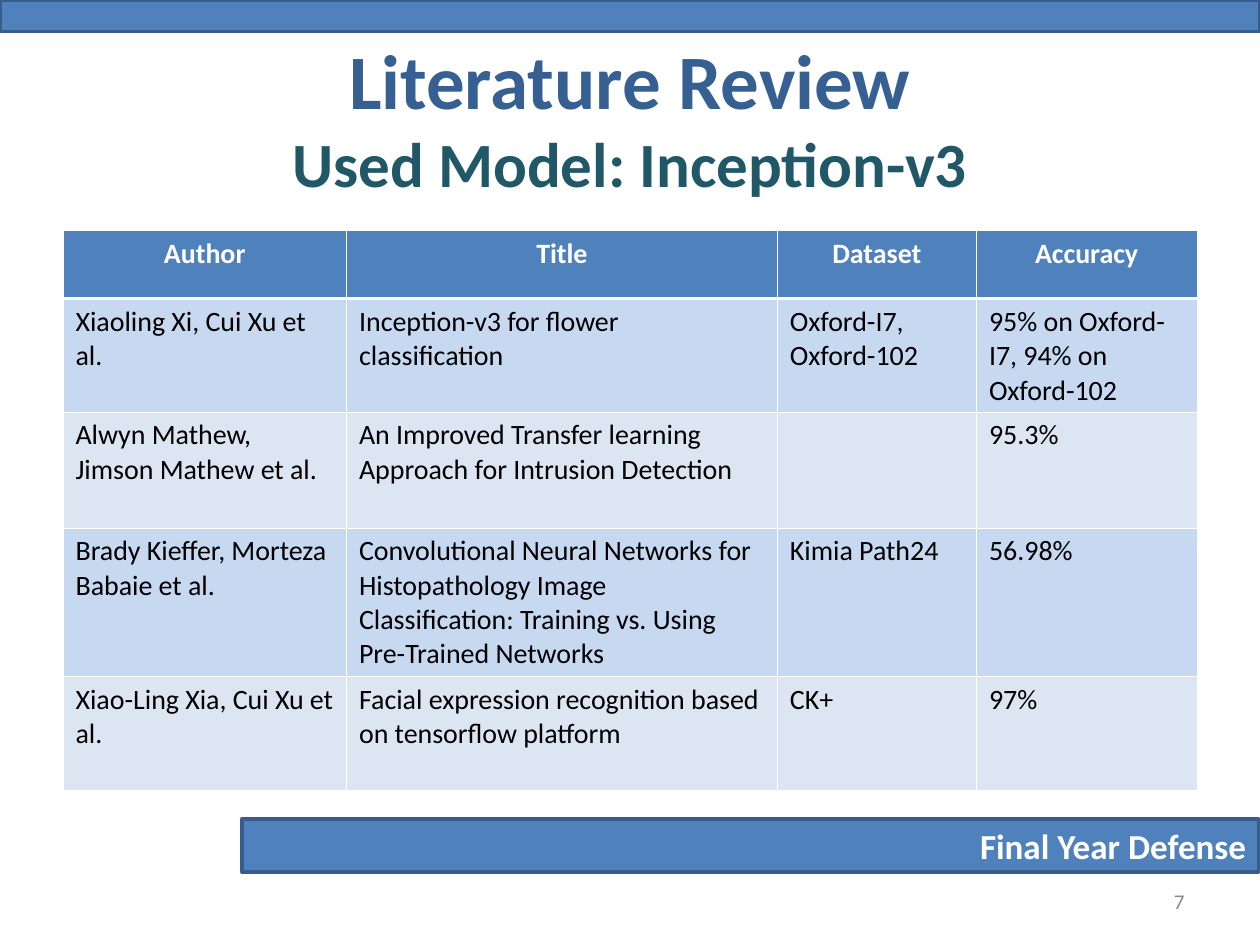
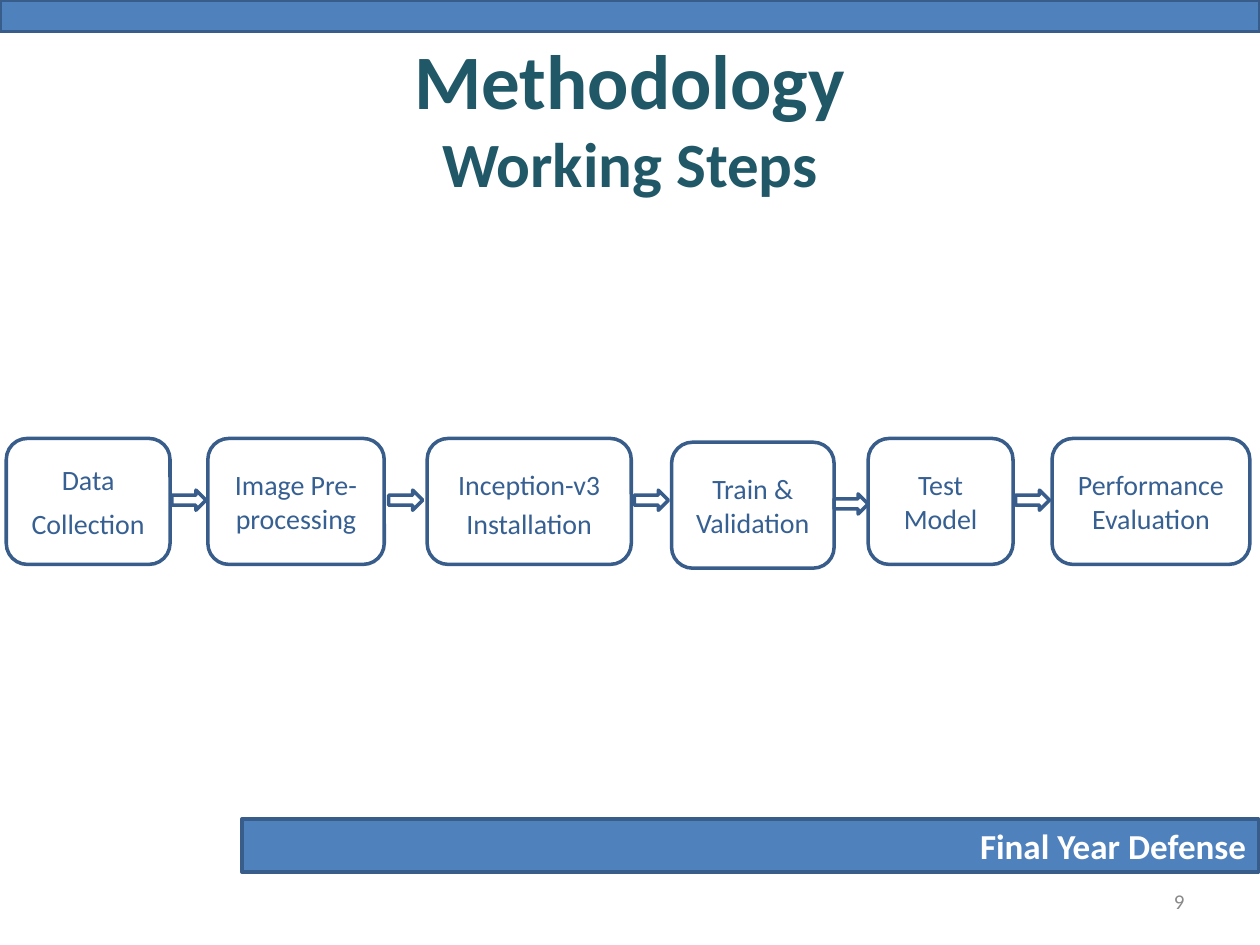
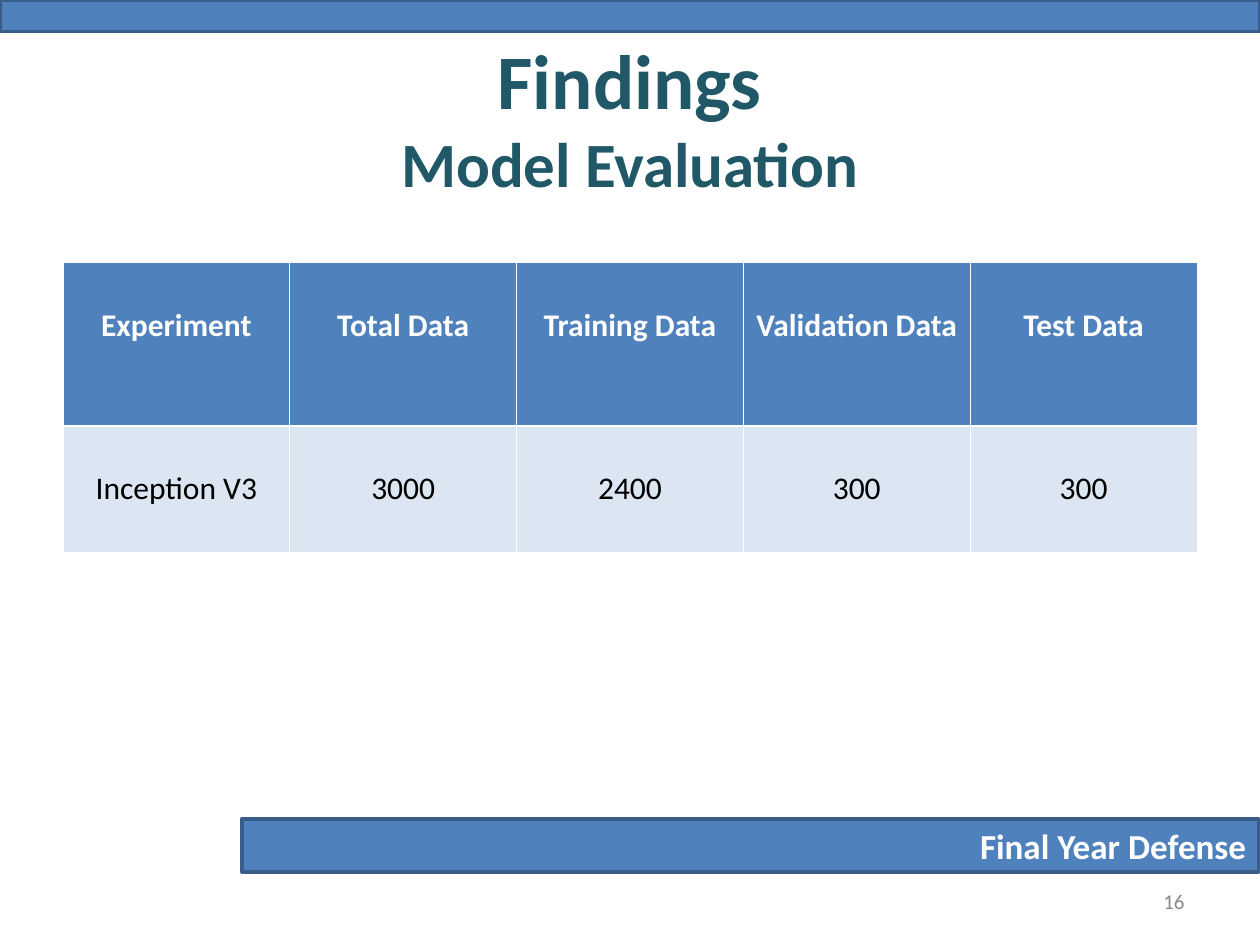
import pptx
import pptx.util
import pptx.dml.color
import pptx.enum.shapes
import pptx.enum.text
import pptx.oxml
import pptx.oxml.ns

Inches = pptx.util.Inches
Pt = pptx.util.Pt
RGB = pptx.dml.color.RGBColor
Shape = pptx.enum.shapes.MSO_SHAPE
Align = pptx.enum.text.PP_ALIGN
Anchor = pptx.enum.text.MSO_ANCHOR

BLUE = RGB(0x4F, 0x81, 0xBD)
EDGE = RGB(0x38, 0x5D, 0x8A)
NAVY = RGB(0x37, 0x60, 0x92)
TEAL = RGB(0x20, 0x58, 0x67)
SKY = RGB(0xC6, 0xD9, 0xF1)
PALE = RGB(0xDC, 0xE6, 0xF2)
GREY = RGB(0x89, 0x89, 0x89)
WHITE = RGB(0xFF, 0xFF, 0xFF)
BLACK = RGB(0, 0, 0)
FONT = "Calibri"
THIN, THICK = 0.45, 1.47


def put(frame, text, size=16, color=BLACK, bold=False, align=Align.CENTER, gap=0, lead=None):
    frame.word_wrap = True
    for i, line in enumerate(text.split("\n")):
        para = frame.add_paragraph() if i else frame.paragraphs[0]
        para.text = line
        para.alignment = align
        if i and gap:
            para.space_before = Pt(gap)
        if lead:
            para.line_spacing = lead
        for run in para.runs:
            font = run.font
            font.name, font.size, font.bold = FONT, Pt(size), bold
            font.color.rgb = color


def edge(cell, side, width):
    line = pptx.oxml.parse_xml(
        f'<a:ln{side} {pptx.oxml.ns.nsdecls("a")} w="{int(Pt(width))}">'
        f'<a:solidFill><a:srgbClr val="{WHITE}"/></a:solidFill></a:ln{side}>')
    cell._tc.get_or_add_tcPr().append(line)


class Deck:
    def __init__(self):
        self.file = pptx.Presentation()
        self.file.slide_width = Inches(10)
        self.file.slide_height = Inches(7.5)
        self.slide = None

    def page(self, head, sub, number, color=TEAL):
        self.slide = self.file.slides.add_slide(self.file.slide_layouts[6])
        foot = self.shape(Shape.RECTANGLE, 1.92, 6.5, 8.07, 0.42, BLUE)
        put(foot.text_frame, "Final Year Defense", size=20, color=WHITE, bold=True, align=Align.RIGHT)
        self.shape(Shape.RECTANGLE, 0, 0, 10, 0.25, BLUE)
        title = self.label(f"{head}\v{sub}", 0.5, 0.3, 9, 1.25, size=36, color=TEAL, bold=True)
        top = title.text_frame.paragraphs[0].runs[0].font
        top.size = Pt(44)
        top.color.rgb = color
        self.label(str(number), 7.17, 6.95, 2.33, 0.4, size=12, color=GREY, align=Align.RIGHT)

    def label(self, text, x, y, w, h, **style):
        box = self.slide.shapes.add_textbox(Inches(x), Inches(y), Inches(w), Inches(h))
        box.text_frame.vertical_anchor = Anchor.MIDDLE
        put(box.text_frame, text, **style)
        return box

    def shape(self, kind, x, y, w, h, fill=WHITE):
        item = self.slide.shapes.add_shape(kind, Inches(x), Inches(y), Inches(w), Inches(h))
        item.shadow.inherit = False
        item.fill.solid()
        item.fill.fore_color.rgb = fill
        item.line.color.rgb = EDGE
        item.line.width = Pt(2)
        item.text_frame.vertical_anchor = Anchor.MIDDLE
        return item

    def table(self, y, cols, rows, data, bands, size=16, align=Align.LEFT, inset=0.05):
        grid = self.slide.shapes.add_table(
            len(rows), len(cols), Inches(0.5), Inches(y), Inches(sum(cols)), Inches(sum(rows))).table
        for col, width in zip(grid.columns, cols):
            col.width = Inches(width)
        for i, (row, height) in enumerate(zip(grid.rows, rows)):
            row.height = Inches(height)
            head = i == 0
            for cell, text in zip(row.cells, data[i]):
                for side, width in (("L", THIN), ("R", THIN),
                                    ("T", THICK if i == 1 else THIN), ("B", THICK if head else THIN)):
                    edge(cell, side, width)
                cell.fill.solid()
                cell.fill.fore_color.rgb = BLUE if head else bands[(i - 1) % len(bands)]
                cell.margin_top = Inches(inset)
                put(cell.text_frame, text, size=size, bold=head,
                    color=WHITE if head else BLACK, align=Align.CENTER if head else align)

    def flow(self, steps):
        wide, high = 0.27, 0.16
        for x, y, w, text, style in steps:
            box = self.shape(Shape.FLOWCHART_ALTERNATE_PROCESS, x, y, w, 1)
            put(box.text_frame, text, color=NAVY, **style)
        for (x, y, w, *_), (after, *_) in zip(steps, steps[1:]):
            self.shape(Shape.RIGHT_ARROW, (x + w + after - wide) / 2, y + 0.41, wide, high)


PAPERS = [
    ("Author", "Title", "Dataset", "Accuracy"),
    ("Xiaoling Xi, Cui Xu et al.", "Inception-v3 for flower classification",
     "Oxford-I7, Oxford-102", "95% on Oxford-I7, 94% on Oxford-102"),
    ("Alwyn Mathew, Jimson Mathew et al.",
     "An Improved Transfer learning Approach for Intrusion Detection", "", "95.3%"),
    ("Brady Kieffer, Morteza Babaie et al.",
     "Convolutional Neural Networks for Histopathology Image Classification: "
     "Training vs. Using Pre-Trained Networks", "Kimia Path24", "56.98%"),
    ("Xiao-Ling Xia, Cui Xu et al.",
     "Facial expression recognition based on tensorflow platform", "CK+", "97%"),
]
STEPS = [
    (0.05, 3.48, 1.3, "Data\nCollection", {"gap": 5.6}),
    (1.65, 3.48, 1.4, "Image Pre-\nprocessing", {}),
    (3.39, 3.48, 1.62, "Inception-v3\nInstallation", {"lead": 1.15}),
    (5.33, 3.51, 1.29, "Train & Validation", {}),
    (6.89, 3.48, 1.15, "Test Model", {}),
    (8.35, 3.48, 1.57, "Performance Evaluation", {}),
]
COUNTS = [
    ("Experiment", "Total Data", "Training Data", "Validation Data", "Test Data"),
    ("Inception V3", "3000", "2400", "300", "300"),
]


def main():
    deck = Deck()
    deck.page("Literature Review", "Used Model: Inception-v3", 7, color=NAVY)
    deck.table(1.83, [2.25, 3.42, 1.58, 1.75], [0.54, 0.9, 0.92, 1.18, 0.9], PAPERS, [SKY, PALE])
    deck.page("Methodology", "Working Steps", 9)
    deck.flow(STEPS)
    deck.page("Findings", "Model Evaluation", 16)
    deck.table(2.08, [1.8] * 5, [1.3, 1], COUNTS, [PALE], size=18, align=Align.CENTER, inset=0.35)
    deck.file.save("out.pptx")


if __name__ == "__main__":
    main()
